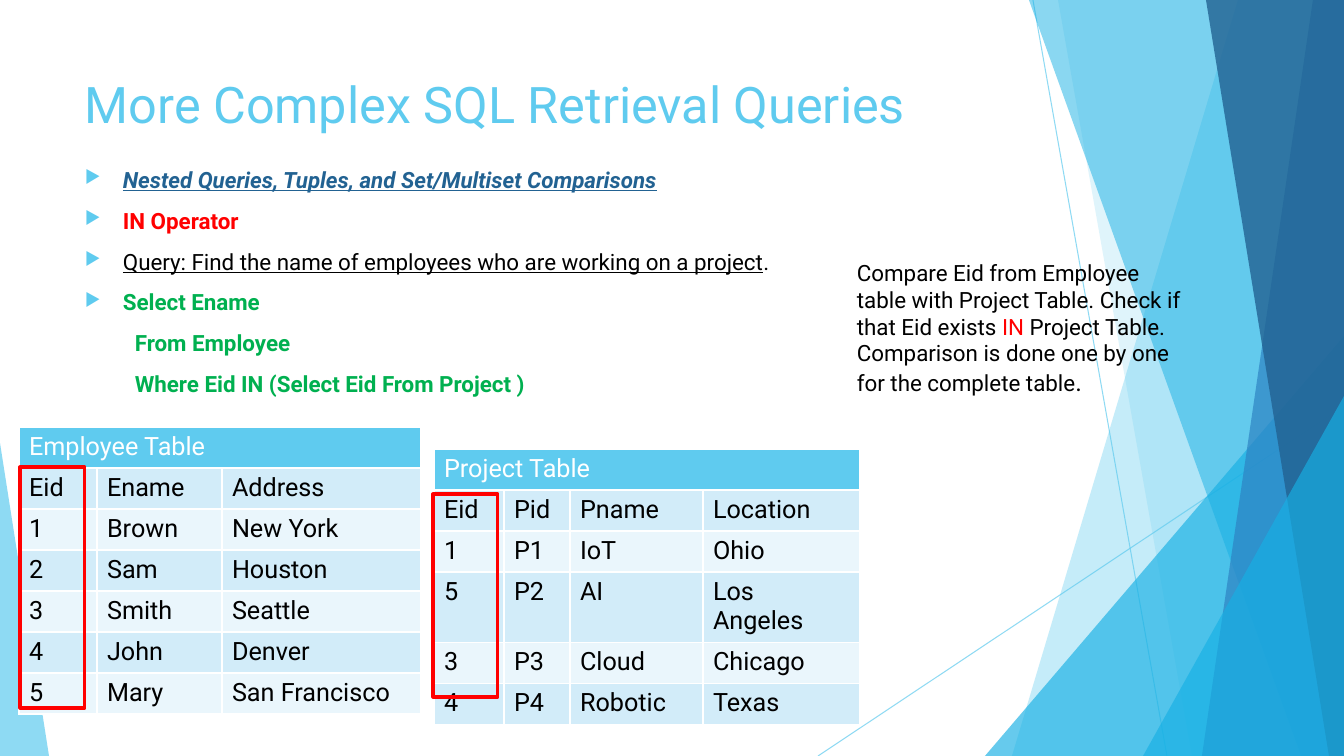
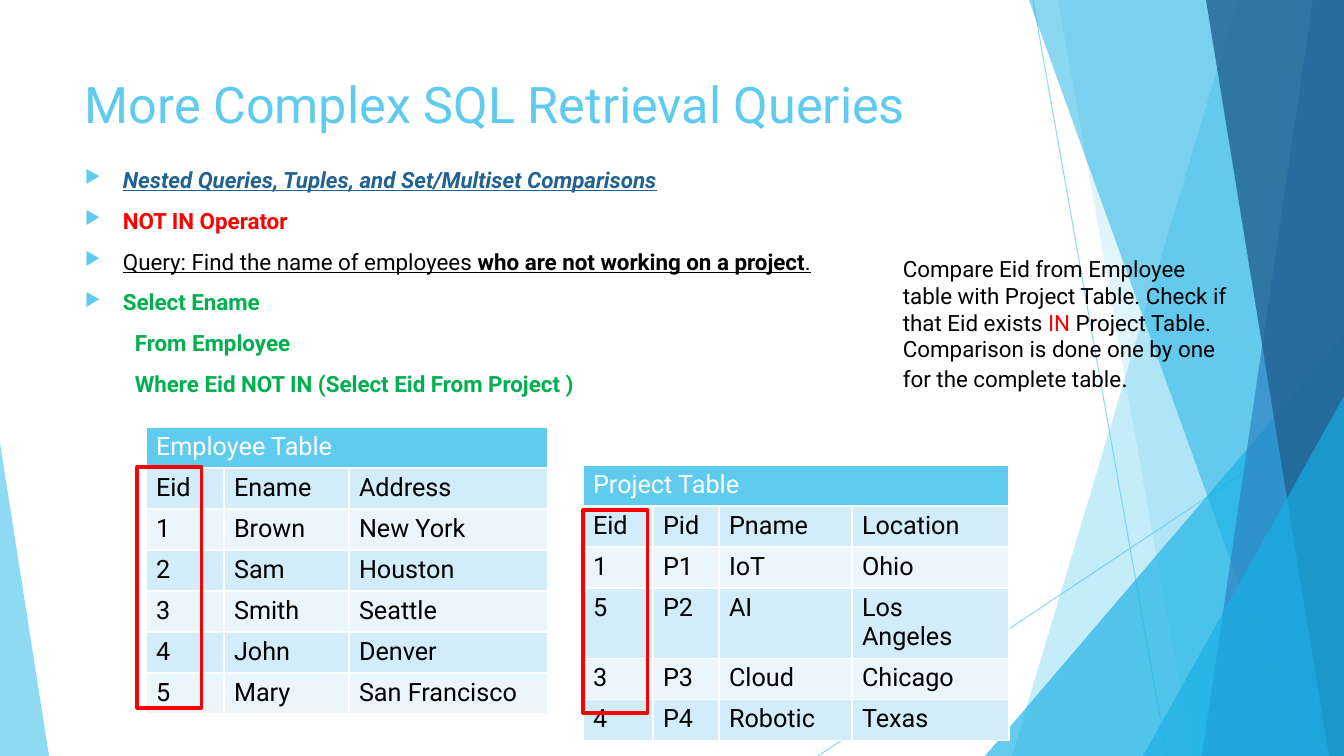
from dataclasses import dataclass
from typing import NamedTuple

from lxml import etree
from pptx import Presentation
from pptx.dml.color import RGBColor
from pptx.enum.shapes import MSO_CONNECTOR, MSO_SHAPE
from pptx.oxml.ns import qn
from pptx.util import Pt

PX = 914400 / 100.8  # EMU in one px
WIDTH, HEIGHT = 1344, 756
FONT = "Roboto"
STRAIGHT = MSO_CONNECTOR.STRAIGHT
RECTANGLE, TRIANGLE = MSO_SHAPE.RECTANGLE, MSO_SHAPE.ISOSCELES_TRIANGLE

SKY = RGBColor(0x5F, 0xCB, 0xEF)
CYAN = RGBColor(0x17, 0xB0, 0xE4)
BLUE = RGBColor(0x2E, 0x83, 0xC3)
NAVY = RGBColor(0x22, 0x62, 0x92)
RED = RGBColor(0xFF, 0x00, 0x00)
GREEN = RGBColor(0x00, 0xB0, 0x50)
BLACK = RGBColor(0x00, 0x00, 0x00)
WHITE = RGBColor(0xFF, 0xFF, 0xFF)
BANDS = (RGBColor(0xEA, 0xF6, 0xFC), RGBColor(0xD2, 0xEC, 0xF9))

TITLE = "More Complex SQL Retrieval Queries"
TEXT_INDENT, CODE_INDENT = 38, 50
ROW_HEIGHT = 41


class Box(NamedTuple):
    left: int
    top: int
    width: int
    height: int


class Run(NamedTuple):
    text: str
    color: RGBColor = BLACK
    size: int = 16
    bold: bool = False
    italic: bool = False
    underline: bool = False


class Ray(NamedTuple):
    x1: int
    y1: int
    x2: int
    y2: int


class Pane(NamedTuple):
    """Full-height band from a slanted left edge to the right of the slide."""
    top_x: int
    bottom_x: int
    color: RGBColor
    opacity: int


class Wedge(NamedTuple):
    box: Box
    apex: int
    color: RGBColor
    opacity: int


@dataclass(frozen=True)
class Grid:
    title: str
    columns: tuple[int, ...]
    rows: tuple[tuple[str, ...], ...]


@dataclass(frozen=True)
class QuerySlide:
    operator: str
    query: tuple[Run, ...]
    employee_at: tuple[int, int]
    project_at: tuple[int, int]
    marks: tuple[Box, ...]
    note_at: tuple[int, int]


RAYS = (Ray(1033, 0, 1167, HEIGHT), Ray(WIDTH, 406, 818, HEIGHT))
FACETS = (
    Pane(1238, 1012, SKY, 36),
    Pane(1058, 1192, SKY, 20),
    Wedge(Box(985, 336, 359, 420), 1, CYAN, 66),
    Pane(1029, 1301, CYAN, 50),
    Pane(1313, 1202, BLUE, 70),
    Pane(1206, 1329, NAVY, 80),
    Wedge(Box(1143, 396, 201, 360), 1, CYAN, 66),
    Wedge(Box(0, 443, 49, 313), 0, SKY, 70),
)

EMPLOYEE = Grid("Employee Table", (78, 125, 199), (
    ("Eid", "Ename", "Address"),
    ("1", "Brown", "New York"),
    ("2", "Sam", "Houston"),
    ("3", "Smith", "Seattle"),
    ("4", "John", "Denver"),
    ("5", "Mary", "San Francisco"),
))
PROJECT = Grid("Project Table", (70, 66, 133, 157), (
    ("Eid", "Pid", "Pname", "Location"),
    ("1", "P1", "IoT", "Ohio"),
    ("5", "P2", "AI", "Los Angeles"),
    ("3", "P3", "Cloud", "Chicago"),
    ("4", "P4", "Robotic", "Texas"),
))
NOTE = (
    (Run("Compare Eid from Employee table with Project Table. Check if that Eid exists "),
     Run("IN", RED), Run(" Project Table.")),
    (Run("Comparison is done one by one for the complete table"), Run(".", size=18)),
)

SLIDES = (
    QuerySlide(
        "IN",
        (Run("Query: Find the name of employees who are working on a project", underline=True),
         Run(".")),
        (19, 427), (434, 449),
        (Box(433, 494, 65, 203), Box(20, 467, 65, 241)),
        (847, 254)),
    QuerySlide(
        "NOT IN",
        (Run("Query: Find the name of employees ", underline=True),
         Run("who are not working on a project", bold=True, underline=True),
         Run(".", underline=True)),
        (146, 427), (583, 465),
        (Box(583, 510, 65, 203), Box(137, 467, 65, 241)),
        (893, 250)),
)


def px(n: int) -> int:
    return round(n * PX)


def emu(lengths) -> list[int]:
    return [px(n) for n in lengths]


def write(p, text: str, *, color=BLACK, size=16, bold=False, italic=False, underline=False) -> None:
    r = p.add_run()
    r.text = text
    f = r.font
    f.name, f.size, f.color.rgb = FONT, Pt(size), color
    f.bold, f.italic, f.underline = bold, italic, underline


def add_text(s, box: Box, paragraphs) -> list:
    tf = s.shapes.add_textbox(*emu(box)).text_frame
    tf.word_wrap = True
    for i, runs in enumerate(paragraphs):
        p = tf.add_paragraph() if i else tf.paragraphs[0]
        for run in runs:
            write(p, **run._asdict())
    return list(tf.paragraphs)


def set_opacity(shape, percent: int) -> None:
    color = next(shape._element.spPr.iter(qn("a:srgbClr")))
    etree.SubElement(color, qn("a:alpha"), val=str(percent * 1000))


def add_ray(s, ray: Ray) -> None:
    line = s.shapes.add_connector(STRAIGHT, *emu(ray))
    line.line.color.rgb, line.line.width = SKY, Pt(0.75)
    set_opacity(line, 70)
    etree.SubElement(line._element.spPr, qn("a:effectLst"))


def add_facet(s, facet: Pane | Wedge) -> None:
    if isinstance(facet, Wedge):
        sp = s.shapes.add_shape(TRIANGLE, *emu(facet.box))
        sp.adjustments[0] = facet.apex
    else:
        corners = ((WIDTH, 0), (WIDTH, HEIGHT), (facet.bottom_x, HEIGHT))
        outline = s.shapes.build_freeform(px(facet.top_x), 0)
        outline.add_line_segments([emu(c) for c in corners], close=True)
        sp = outline.convert_to_shape()
    sp.shadow.inherit = False
    sp.fill.solid()
    sp.fill.fore_color.rgb = facet.color
    sp.line.fill.background()
    set_opacity(sp, facet.opacity)


def indent(p, left: int, bullet: bool) -> None:
    pPr = p._p.get_or_add_pPr()
    pPr.set("marL", str(px(left)))
    pPr.set("indent", str(-px(left) if bullet else 0))
    if bullet:
        color = etree.SubElement(pPr, qn("a:buClr"))
        etree.SubElement(color, qn("a:srgbClr"), val=str(SKY))
        etree.SubElement(pPr, qn("a:buSzPct"), val="80000")
        etree.SubElement(pPr, qn("a:buChar"), char="▶")


def add_body(s, slide: QuerySlide) -> None:
    bulleted = (
        (Run("Nested Queries, Tuples, and Set/Multiset Comparisons", NAVY,
             bold=True, italic=True, underline=True),),
        (Run(f"{slide.operator} Operator", RED, bold=True),),
        slide.query,
        (Run("Select Ename", GREEN, bold=True),),
    )
    code = (
        (Run("From Employee", GREEN, bold=True),),
        (Run(f"Where Eid {slide.operator} (Select Eid From Project )", GREEN, bold=True),),
    )
    for i, p in enumerate(add_text(s, Box(75, 161, 1123, 514), bulleted + code)):
        p.space_before = Pt(10)
        bullet = i < len(bulleted)
        indent(p, TEXT_INDENT if bullet else CODE_INDENT, bullet)


def fill_cell(cell, text: str, fill: RGBColor, color: RGBColor) -> None:
    cell.fill.solid()
    cell.fill.fore_color.rgb = fill
    write(cell.text_frame.paragraphs[0], text, color=color, size=18)


def add_grid(s, grid: Grid, at: tuple[int, int]) -> None:
    n_rows, n_cols = len(grid.rows) + 1, len(grid.columns)
    box = Box(*at, sum(grid.columns), n_rows * ROW_HEIGHT)
    table = s.shapes.add_table(n_rows, n_cols, *emu(box)).table
    for column, width in zip(table.columns, grid.columns):
        column.width = px(width)
    for row in table.rows:
        row.height = px(ROW_HEIGHT)
    header = table.cell(0, 0)
    header.merge(table.cell(0, n_cols - 1))
    fill_cell(header, grid.title, SKY, WHITE)
    for i, values in enumerate(grid.rows, start=1):
        for j, value in enumerate(values):
            fill_cell(table.cell(i, j), value, BANDS[i % 2], BLACK)


def add_mark(s, box: Box) -> None:
    """Red frame around an Eid column."""
    sp = s.shapes.add_shape(RECTANGLE, *emu(box))
    sp.shadow.inherit = False
    sp.fill.background()
    sp.line.color.rgb, sp.line.width = RED, Pt(2.25)


def add_slide(prs, slide: QuerySlide) -> None:
    s = prs.slides.add_slide(prs.slide_layouts[6])
    for ray in RAYS:
        add_ray(s, ray)
    for facet in FACETS:
        add_facet(s, facet)
    add_text(s, Box(75, 68, 948, 145), [[Run(TITLE, SKY, size=36)]])
    add_body(s, slide)
    add_grid(s, EMPLOYEE, slide.employee_at)
    add_grid(s, PROJECT, slide.project_at)
    for box in slide.marks:
        add_mark(s, box)
    add_text(s, Box(*slide.note_at, 351, 179), NOTE)


def main() -> None:
    prs = Presentation()
    prs.slide_width, prs.slide_height = px(WIDTH), px(HEIGHT)
    for slide in SLIDES:
        add_slide(prs, slide)
    prs.save("out.pptx")


if __name__ == "__main__":
    main()
